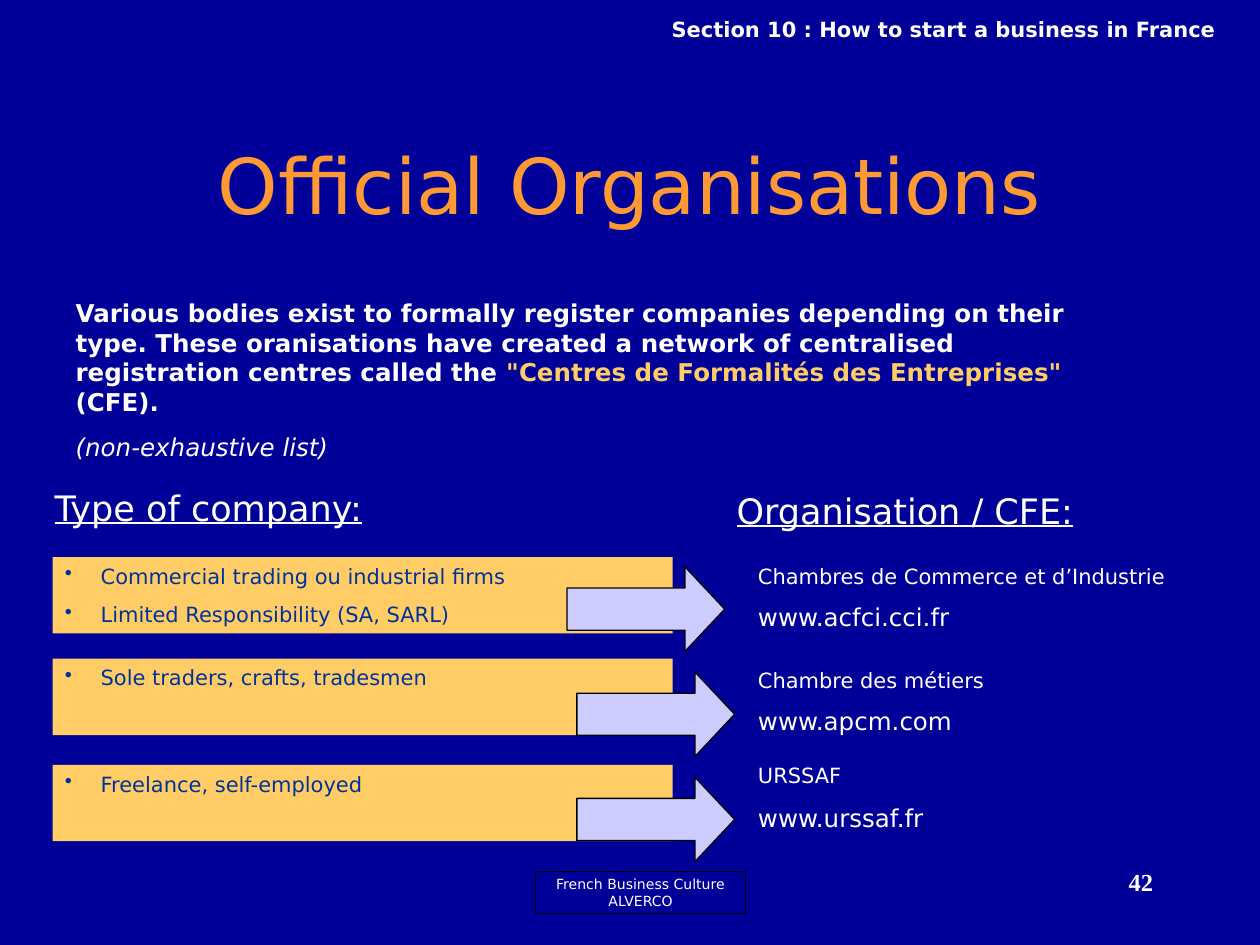
import pptx
import pptx.util
import pptx.dml.color
import pptx.enum.shapes
import pptx.enum.text
import pptx.oxml.ns
from lxml import etree

Cm = pptx.util.Cm
Pt = pptx.util.Pt
Align = pptx.enum.text.PP_ALIGN
Anchor = pptx.enum.text.MSO_ANCHOR
Kind = pptx.enum.shapes.MSO_SHAPE

NAVY, WHITE, SAND = "000099", "FFFFFF", "FFCC66"
ORANGE, INK, LILAC, BLACK = "FF9933", "003399", "CCCCFF", "000000"


def paint(target, color):
    if hasattr(target, "solid"):
        target.solid()
        target = target.fore_color
    target.rgb = pptx.dml.color.RGBColor.from_string(color)


class Deck:
    base = {"name": "DejaVu Sans", "size": Pt(12), "bold": False}

    def __init__(self, wide, high):
        self.show = pptx.Presentation()
        self.show.slide_width = Cm(wide)
        self.show.slide_height = Cm(high)
        self.slide = self.show.slides.add_slide(self.show.slide_layouts[1])
        paint(self.slide.background.fill, NAVY)

    def place(self, shape, box):
        for key, size in zip(("left", "top", "width", "height"), box):
            setattr(shape, key, Cm(size))

    def letter(self, shape, paras, color=WHITE, align=Align.LEFT,
               anchor=Anchor.TOP, wrap=True, gap=0, dots=False, **style):
        frame = shape.text_frame
        form = {"word_wrap": wrap, "vertical_anchor": anchor,
                "auto_size": pptx.enum.text.MSO_AUTO_SIZE.NONE}
        for key, value in form.items():
            setattr(frame, key, value)
        for i, runs in enumerate(paras):
            para = frame.add_paragraph() if i else frame.paragraphs[0]
            para.alignment = align
            para.space_before = Pt(gap if i else 0)
            self.mark(para, color if dots else None)
            for text, extra in runs:
                run = para.add_run()
                run.text = text
                look = {**self.base, "color": color, **style, **extra}
                paint(run.font.color, look.pop("color"))
                for key, value in look.items():
                    setattr(run.font, key, value)

    def mark(self, para, color):
        props = para._p.get_or_add_pPr()
        inset = Cm(0.72) if color else 0
        props.set("marL", str(inset))
        props.set("indent", str(-inset))
        tag = pptx.oxml.ns.qn
        if color:
            tint = etree.SubElement(props, tag("a:buClr"))
            etree.SubElement(tint, tag("a:srgbClr"), val=color)
            etree.SubElement(props, tag("a:buChar"), char="•")
        else:
            etree.SubElement(props, tag("a:buNone"))

    def title(self, box, text, **style):
        shape = self.slide.shapes.title
        self.place(shape, box)
        self.letter(shape, [[(text, {})]], align=Align.CENTER,
                    anchor=Anchor.MIDDLE, **style)

    def body(self, box, paras, **style):
        shape = self.slide.placeholders[1]
        self.place(shape, box)
        self.letter(shape, paras, **style)

    def label(self, box, paras, **style):
        shape = self.slide.shapes.add_textbox(*map(Cm, box))
        self.letter(shape, paras, **style)

    def block(self, kind, box, fill, line=None):
        shape = self.slide.shapes.add_shape(kind, *map(Cm, box))
        shape.shadow.inherit = False
        paint(shape.fill, fill)
        if line:
            paint(shape.line.fill, line)
            shape.line.width = Pt(0.75)
        else:
            shape.line.fill.background()
        return shape

    def panel(self, box, paras, fill, line=None, **style):
        self.letter(self.block(Kind.RECTANGLE, box, fill, line), paras, **style)

    def arrow(self, left, top):
        shape = self.block(Kind.RIGHT_ARROW, (left, top, 3.18, 1.7), LILAC, BLACK)
        shape.adjustments[0] = 0.5
        shape.adjustments[1] = 0.47


def main():
    deck = Deck(25.4, 19.05)
    deck.title((1.9, 2.12, 21.6, 3.18), "Official Organisations",
               size=Pt(44), color=ORANGE)
    deck.body((1.27, 5.89, 20.96, 3.5), [
        [("Various bodies exist to formally register companies depending on "
          "their type. These oranisations have created a network of "
          "centralised registration centres called the ", {}),
         ('"Centres de Formalités des Entreprises"', {"color": SAND}),
         (" (CFE).", {})],
        [("(non-exhaustive list)", {"bold": False, "italic": True})],
    ], size=Pt(14), bold=True, gap=8.8)
    deck.label((9.32, 0.21, 15.44, 0.76),
               [[("Section 10 : How to start a business in France", {})]],
               bold=True, align=Align.RIGHT)

    for left, top, text in ((0.85, 9.69, "Type of company:"),
                            (14.6, 9.74, "Organisation / CFE:")):
        deck.label((left, top, 8.46, 1.12), [[(text, {})]],
                   size=Pt(20), underline=True)

    rows = (
        (11.23, ("Commercial trading ou industrial firms",
                 "Limited Responsibility (SA, SARL)"),
         11.23, "Chambres de Commerce et d’Industrie", "www.acfci.cci.fr",
         7.5, 11.43, 11.43),
        (13.28, ("Sole traders, crafts, tradesmen",),
         13.34, "Chambre des métiers", "www.apcm.com", 7.5, 11.63, 13.55),
        (15.42, ("Freelance, self-employed",),
         15.24, "URSSAF", "www.urssaf.fr", 8.8, 11.63, 15.67),
    )
    for top, firms, high, name, site, gap, left, tip in rows:
        deck.panel((1.06, top, 12.5, 1.54), [[(firm, {})] for firm in firms],
                   SAND, color=INK, gap=7.5, dots=True)
        deck.label((15.03, high, 9.3, 1.65),
                   [[(name, {})], [(site, {"size": Pt(14)})]], gap=gap)
        deck.arrow(left, tip)

    deck.panel((10.8, 17.57, 4.23, 0.85),
               [[("French Business Culture", {})], [("ALVERCO", {})]],
               NAVY, BLACK, size=Pt(8), align=Align.CENTER,
               anchor=Anchor.MIDDLE, wrap=False)
    deck.label((18.2, 17.36, 5.3, 1.27), [[("42", {})]], size=Pt(14),
               name="Times New Roman", bold=True, align=Align.RIGHT)
    deck.show.save("out.pptx")


if __name__ == "__main__":
    main()
